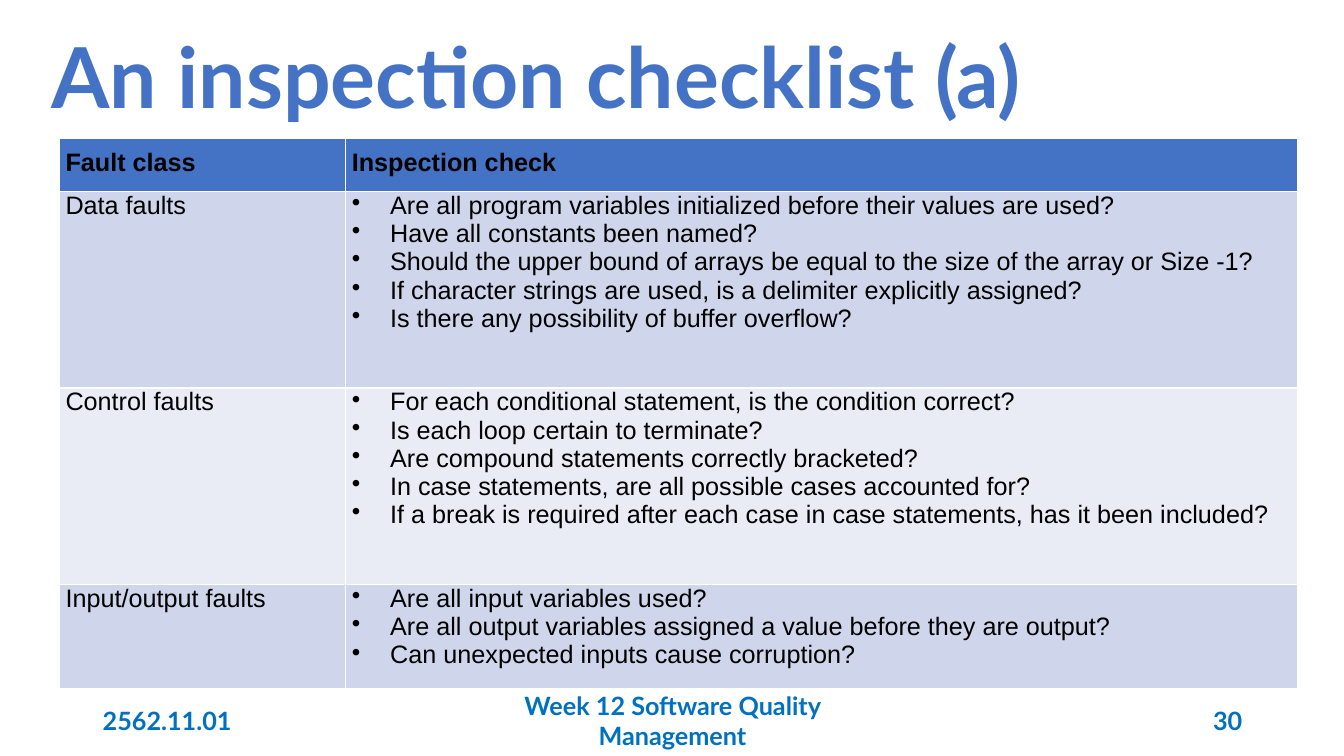
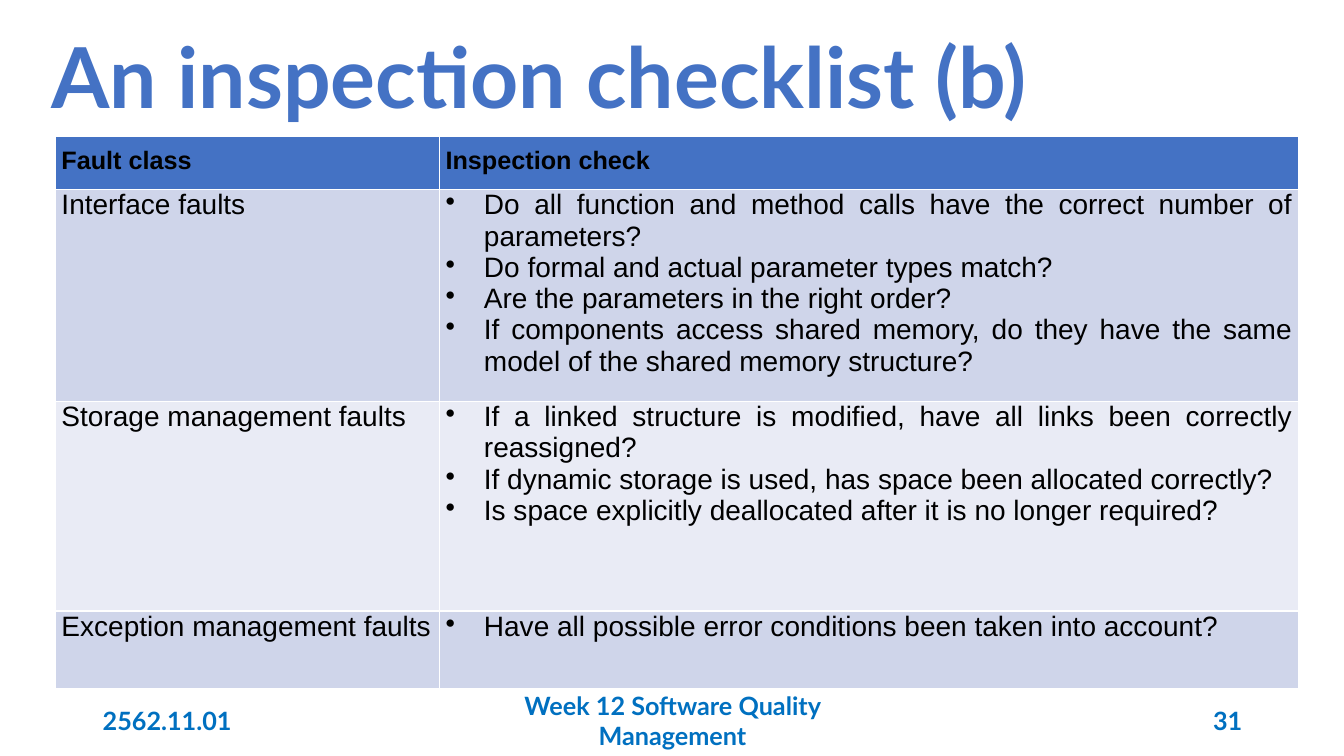
from lxml import etree
from pptx import Presentation
from pptx.dml.color import RGBColor
from pptx.enum import text as txt
from pptx.oxml import ns
from pptx.util import Inches, Pt

# Shared look
BLUE = RGBColor(0x44, 0x72, 0xC4)
SKY = RGBColor(0x00, 0x70, 0xC0)
BLACK = RGBColor(0x00, 0x00, 0x00)
BANDS = [RGBColor(0xCF, 0xD5, 0xEA), RGBColor(0xE9, 0xEB, 0xF5)]
HEAD = "Lato"
BODY = "Arial"
ALIGN = txt.PP_ALIGN
MIDDLE = txt.MSO_ANCHOR.MIDDLE
DATE = "2562.11.01"
COURSE = "Week 12 Software Quality Management"
HEADER = ("Fault class", ["Inspection check"])

# Slide content: fault class, then its checks
PART_A = [
    ("Data faults", [
        "Are all program variables initialized before their values are used?",
        "Have all constants been named?",
        "Should the upper bound of arrays be equal to the size of the array or Size -1?",
        "If character strings are used, is a delimiter explicitly assigned?",
        "Is there any possibility of buffer overflow?"]),
    ("Control faults", [
        "For each conditional statement, is the condition correct?",
        "Is each loop certain to terminate?",
        "Are compound statements correctly bracketed?",
        "In case statements, are all possible cases accounted for?",
        "If a break is required after each case in case statements, has it been included?"]),
    ("Input/output faults", [
        "Are all input variables used?",
        "Are all output variables assigned a value before they are output?",
        "Can unexpected inputs cause corruption?"]),
]
PART_B = [
    ("Interface faults", [
        "Do all function and method calls have the correct number of parameters?",
        "Do formal and actual parameter types match?",
        "Are the parameters in the right order?",
        "If components access shared memory, do they have the same model of the "
        "shared memory structure?"]),
    ("Storage management faults", [
        "If a linked structure is modified, have all links been correctly reassigned?",
        "If dynamic storage is used, has space been allocated correctly?",
        "Is space explicitly deallocated after it is no longer required?"]),
    ("Exception management faults", [
        "Have all possible error conditions been taken into account?"]),
]


def style(para, face, size, color, bold, align):
    font = para.font
    font.name, font.size, font.bold = face, Pt(size), bold
    font.color.rgb = color
    para.alignment = align


def bullet(para):
    props = para._p.get_or_add_pPr()
    props.set("marL", str(Inches(0.38)))
    props.set("indent", str(-Inches(0.38)))
    mark = etree.Element(ns.qn("a:buChar"), char="•")
    props.insert_element_before(mark, "a:tabLst", "a:defRPr", "a:extLst")


def add_title(slide, words):
    title = slide.shapes.title
    title.left, title.top = Inches(0.41), Inches(0.26)
    title.width, title.height = Inches(12.47), Inches(1.09)
    frame = title.text_frame
    frame.text = words
    frame.auto_size = txt.MSO_AUTO_SIZE.NONE
    frame.vertical_anchor = MIDDLE
    para = frame.paragraphs[0]
    style(para, HEAD, 60, BLUE, True, ALIGN.LEFT)
    para.line_spacing = 0.9


def add_foot(slide, number):
    parts = [
        (4.42, 4.5, COURSE, ALIGN.CENTER),
        (0.92, 3, DATE, ALIGN.LEFT),
        (9.42, 3, str(number), ALIGN.RIGHT),
    ]
    for left, width, words, align in parts:
        box = slide.shapes.add_textbox(
            Inches(left), Inches(6.95), Inches(width), Inches(0.4))
        frame = box.text_frame
        frame.word_wrap = True
        frame.vertical_anchor = MIDDLE
        frame.text = words
        style(frame.paragraphs[0], HEAD, 18, SKY, True, align)


def fill_cell(cell, lines, size, fill, head, listed):
    cell.fill.solid()
    cell.fill.fore_color.rgb = fill
    cell.margin_left = cell.margin_right = Inches(0.06)
    cell.margin_top = Inches(0.1 if head else 0)
    cell.margin_bottom = Inches(0.1)
    cell.text_frame.text = "\n".join(lines)
    for para in cell.text_frame.paragraphs:
        style(para, BODY, size, BLACK, head, ALIGN.JUSTIFY)
        if listed:
            bullet(para)
        if head:
            # The table style's white header text yields only to runs
            para.runs[0].font.color.rgb = BLACK


def add_checks(slide, faults, left, top, cols, rows, size):
    table = slide.shapes.add_table(
        len(rows), len(cols), Inches(left), Inches(top),
        Inches(sum(cols)), Inches(sum(rows))).table
    for col, width in zip(table.columns, cols):
        col.width = Inches(width)
    for row, height in zip(table.rows, rows):
        row.height = Inches(height)
    for i, (fault, checks) in enumerate([HEADER] + faults):
        head = i == 0
        fill = BLUE if head else BANDS[(i - 1) % 2]
        points = 18 if head else size
        fill_cell(table.cell(i, 0), [fault], points, fill, head, False)
        fill_cell(table.cell(i, 1), checks, points, fill, head, not head)


def main():
    prs = Presentation()
    prs.slide_width, prs.slide_height = Inches(13.33), Inches(7.5)
    # Letter, page, faults, left, top, columns, rows, body size
    pages = [
        ("a", 30, PART_A, 0.59, 1.37, [2.84, 9.44], [0.53, 1.95, 1.95, 1.03], 18),
        ("b", 31, PART_B, 0.55, 1.35, [3.81, 8.52], [0.53, 2.08, 2.08, 0.77], 20),
    ]
    for letter, number, *grid in pages:
        slide = prs.slides.add_slide(prs.slide_layouts[5])
        add_title(slide, f"An inspection checklist ({letter})")
        add_foot(slide, number)
        add_checks(slide, *grid)
    prs.save("out.pptx")


main()
